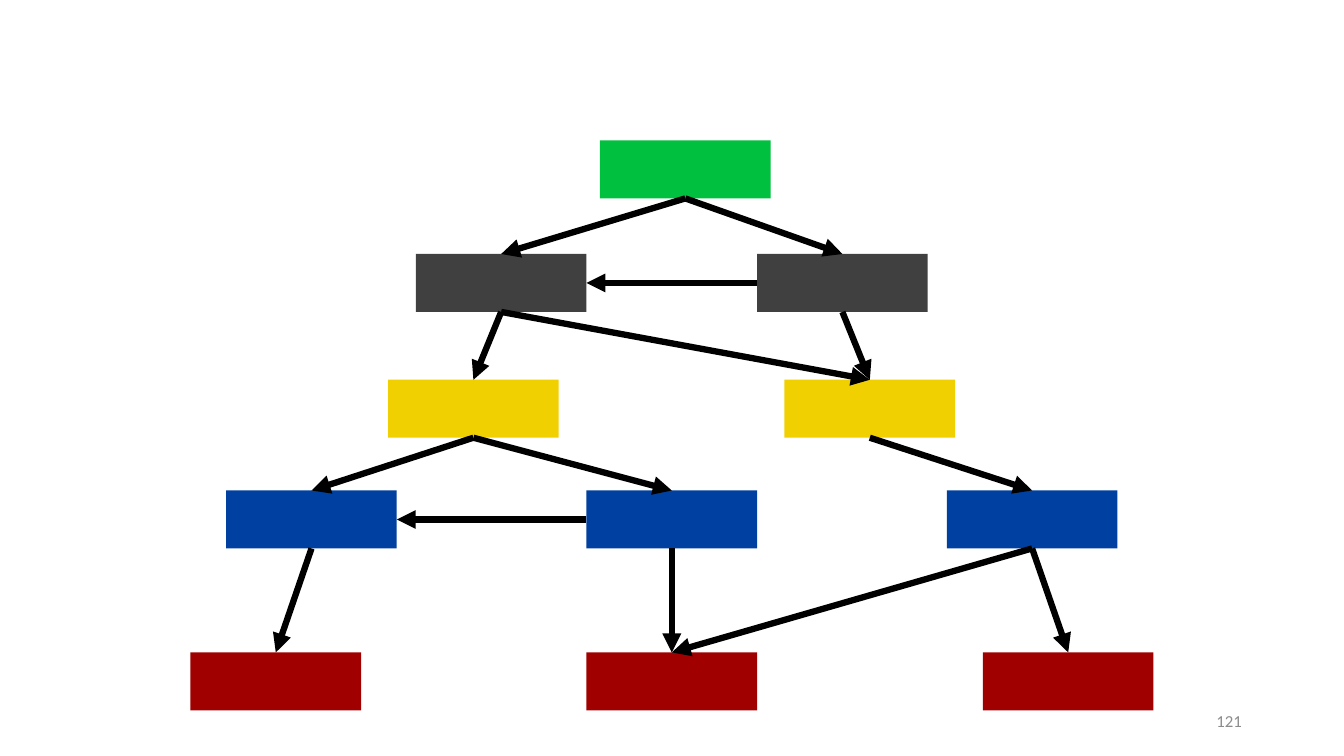
from dataclasses import dataclass

from lxml import etree
from pptx import Presentation
from pptx.dml.color import RGBColor
from pptx.enum.shapes import MSO_CONNECTOR, MSO_SHAPE
from pptx.enum.text import MSO_ANCHOR, PP_ALIGN
from pptx.oxml.ns import qn
from pptx.util import Cm, Pt

RECTANGLE = MSO_SHAPE.RECTANGLE
STRAIGHT = MSO_CONNECTOR.STRAIGHT
MIDDLE = MSO_ANCHOR.MIDDLE
RIGHT_ALIGNED = PP_ALIGN.RIGHT
TOP, LEFT, BOTTOM, RIGHT = range(4)


@dataclass(frozen=True)
class Theme:
    """Colours, type and line sizes of the slide."""

    green: str = "00C040"
    gray: str = "404040"
    yellow: str = "F0D000"
    blue: str = "0040A0"
    red: str = "A00000"
    arrow: str = "000000"
    number: str = "8C8C8C"
    font: str = "Calibri"
    number_size: float = 12
    arrow_width: float = 4.5


THEME = Theme()
NODE_WIDTH, NODE_HEIGHT = 4.3, 1.46

TIERS = [
    ("green", THEME.green, 3.54, [15.12]),
    ("gray", THEME.gray, 6.4, [10.48, 19.08]),
    ("yellow", THEME.yellow, 9.57, [9.78, 19.77]),
    ("blue", THEME.blue, 12.36, [5.7, 14.78, 23.86]),
    ("red", THEME.red, 16.44, [4.8, 14.78, 24.77]),
]

DOWNWARD_LINKS = [
    (("green", 0), ("gray", 0)),
    (("green", 0), ("gray", 1)),
    (("gray", 0), ("yellow", 0)),
    (("gray", 0), ("yellow", 1)),
    (("gray", 1), ("yellow", 1)),
    (("yellow", 0), ("blue", 0)),
    (("yellow", 0), ("blue", 1)),
    (("yellow", 1), ("blue", 2)),
    (("blue", 0), ("red", 0)),
    (("blue", 1), ("red", 1)),
    (("blue", 2), ("red", 1)),
    (("blue", 2), ("red", 2)),
]

SIDEWAYS_LINKS = [
    (("gray", 1), ("gray", 0)),
    (("blue", 1), ("blue", 0)),
]


def add_node(page, left, top, color):
    """Add one plain coloured node and return it."""
    node = page.shapes.add_shape(
        RECTANGLE, Cm(left), Cm(top), Cm(NODE_WIDTH), Cm(NODE_HEIGHT)
    )
    node.shadow.inherit = False
    node.fill.solid()
    node.fill.fore_color.rgb = RGBColor.from_string(color)
    node.line.fill.background()
    return node


def add_arrow(page, source, source_side, target, target_side):
    """Add an arrow glued to one side of each of two nodes."""
    arrow = page.shapes.add_connector(STRAIGHT, 0, 0, 0, 0)
    arrow.begin_connect(source, source_side)
    arrow.end_connect(target, target_side)
    arrow.line.width = Pt(THEME.arrow_width)
    arrow.line.color.rgb = RGBColor.from_string(THEME.arrow)
    properties = arrow.element.spPr
    etree.SubElement(properties.find(qn("a:ln")), qn("a:tailEnd"), type="triangle")
    etree.SubElement(properties, qn("a:effectLst"))


def add_page_number(page, number):
    """Add the page number at the lower right."""
    box = page.shapes.add_textbox(Cm(23.93), Cm(17.65), Cm(7.62), Cm(1.02))
    frame = box.text_frame
    frame.word_wrap = True
    frame.vertical_anchor = MIDDLE
    para = frame.paragraphs[0]
    para.text = number
    para.alignment = RIGHT_ALIGNED
    para.font.name = THEME.font
    para.font.size = Pt(THEME.number_size)
    para.font.color.rgb = RGBColor.from_string(THEME.number)


def main():
    """Build the layered graph and save the deck."""
    deck = Presentation()
    deck.slide_width, deck.slide_height = Cm(33.87), Cm(19.05)
    page = deck.slides.add_slide(deck.slide_layouts[6])
    add_page_number(page, "121")
    nodes = {
        (tier, index): add_node(page, left, top, color)
        for tier, color, top, lefts in TIERS
        for index, left in enumerate(lefts)
    }
    for source, target in DOWNWARD_LINKS:
        add_arrow(page, nodes[source], BOTTOM, nodes[target], TOP)
    for source, target in SIDEWAYS_LINKS:
        add_arrow(page, nodes[source], LEFT, nodes[target], RIGHT)
    deck.save("out.pptx")


if __name__ == "__main__":
    main()
